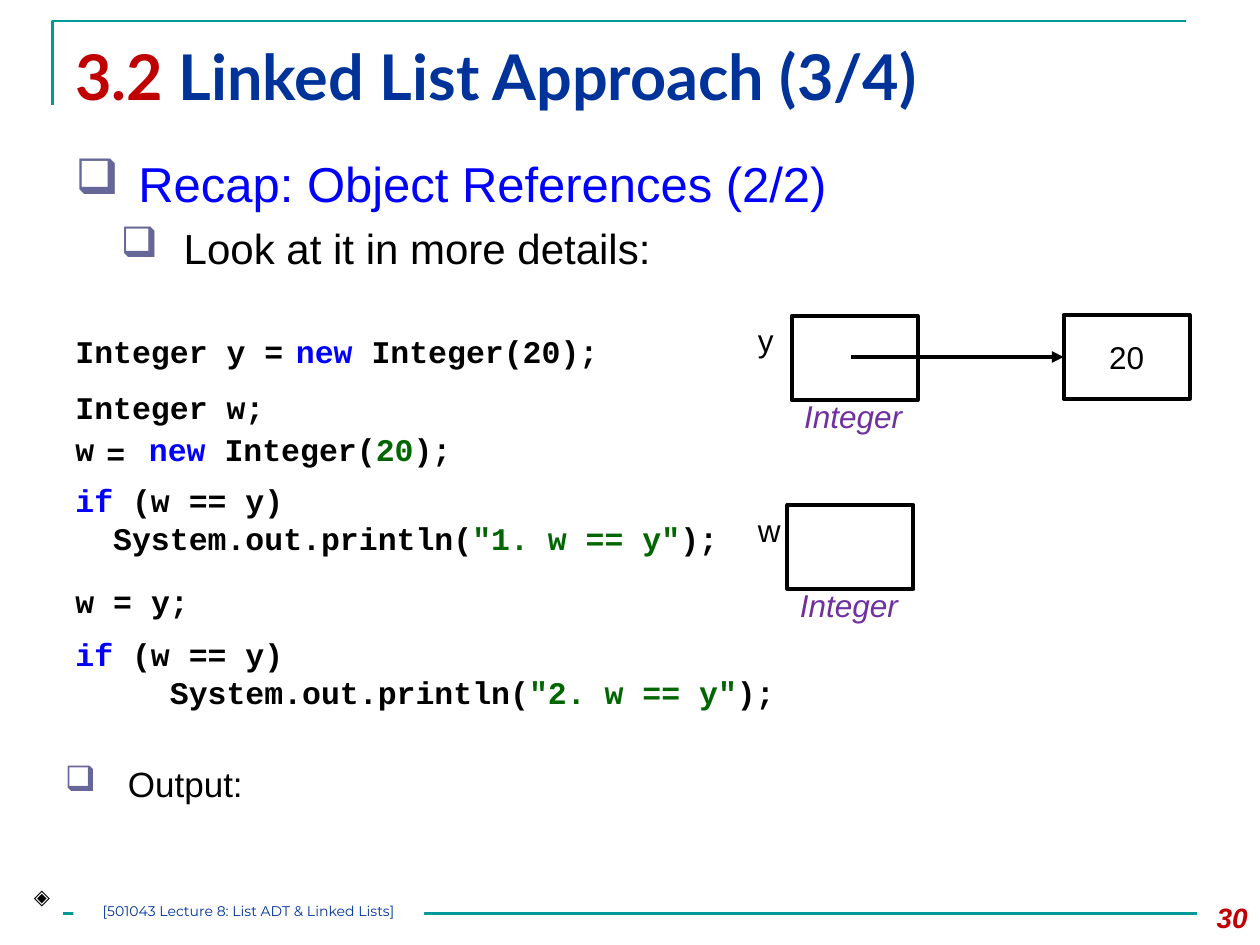
from dataclasses import dataclass

from lxml import etree
from pptx import Presentation, util as u
from pptx.dml.color import RGBColor
from pptx.enum import shapes as kinds, text as txt
from pptx.oxml.ns import qn

COLUMNS, ROWS = 120, 90
CELL = u.Inches(10) // COLUMNS
BLACK, WHITE, TEAL, NAVY = "000000", "FFFFFF", "009999", "003399"
RED, BLUE, GREEN, PURPLE, BULLET = "C00000", "0000FF", "006600", "7030A0", "666699"
CODE = dict(name="Courier New", size=u.Pt(18), bold=True)
LABEL = dict(name="Arial", size=u.Pt(18))


@dataclass
class Box:
    """A place on the slide, in grid columns and rows."""
    col: float
    row: float
    width: float
    height: float

    def emu(self) -> list[int]:
        return [round(n * CELL) for n in (self.col, self.row, self.width, self.height)]


@dataclass
class Code:
    """Code lines, each a list of (words, colour) pieces."""
    box: Box
    lines: list


@dataclass
class Variable:
    name: str
    col: float
    row: float
    label_row: float


@dataclass
class Item:
    words: str
    size: int
    color: str
    margin: float = 0.5
    before: int = 0


def rgb(color: str) -> RGBColor:
    return RGBColor.from_string(color)


def write(paragraph, words: str, color: str, style: dict) -> None:
    run = paragraph.add_run()
    run.text = words
    for key, value in style.items():
        setattr(run.font, key, value)
    run.font.color.rgb = rgb(color)


def add_text(slide, box: Box, lines: list, style: dict, align=txt.PP_ALIGN.LEFT, inset=None):
    frame = slide.shapes.add_textbox(*box.emu()).text_frame
    frame.word_wrap = inset is None and len(lines) > 1
    if inset is not None:
        frame.margin_left = frame.margin_right = frame.margin_top = frame.margin_bottom = inset
    for i, pieces in enumerate(lines):
        paragraph = frame.add_paragraph() if i else frame.paragraphs[0]
        paragraph.alignment = align
        for words, color in pieces:
            write(paragraph, words, color, style)


def add_bullets(slide, box: Box, items: list[Item]) -> None:
    frame = slide.shapes.add_textbox(*box.emu()).text_frame
    frame.word_wrap = True
    for i, item in enumerate(items):
        paragraph = frame.add_paragraph() if i else frame.paragraphs[0]
        paragraph.level = i
        if item.before:
            paragraph.space_before = u.Pt(item.before)
        props = paragraph._p.get_or_add_pPr()
        props.set("marL", str(u.Inches(item.margin)))
        props.set("indent", str(-u.Inches(0.5)))
        color = etree.SubElement(props, qn("a:buClr"))
        etree.SubElement(color, qn("a:srgbClr"), val=BULLET)
        etree.SubElement(props, qn("a:buChar"), char="❑")
        write(paragraph, item.words, item.color, dict(name="Arial", size=u.Pt(item.size)))


def add_cell(slide, box: Box, outlined: bool = True):
    cell = slide.shapes.add_shape(kinds.MSO_SHAPE.RECTANGLE, *box.emu())
    cell.shadow.inherit = False
    cell.fill.solid()
    cell.fill.fore_color.rgb = rgb(WHITE)
    if outlined:
        cell.line.color.rgb = rgb(BLACK)
        cell.line.width = u.Pt(2.25)
    else:
        cell.line.fill.background()
    return cell


def add_line(slide, start: tuple, end: tuple, color: str, width: float, arrow: bool = False):
    ends = [round(n * CELL) for n in (*start, *end)]
    line = slide.shapes.add_connector(kinds.MSO_CONNECTOR.STRAIGHT, *ends)
    line.line.color.rgb = rgb(color)
    line.line.width = u.Pt(width)
    if arrow:
        etree.SubElement(line.line._get_or_add_ln(), qn("a:tailEnd"), type="triangle")
    etree.SubElement(line._element.spPr, qn("a:effectLst"))


def add_frame(slide) -> None:
    """The title's corner rule and the line above the footer."""
    builder = slide.shapes.build_freeform(5, 10, scale=CELL)
    builder.add_line_segments([(5, 2), (113, 2)], close=False)
    corner = builder.convert_to_shape()
    corner.shadow.inherit = False
    corner.fill.background()
    corner.line.color.rgb = rgb(TEAL)
    corner.line.width = u.Pt(1.5)
    add_line(slide, (6, 87), (114, 87), TEAL, 1.5)


def add_variable(slide, variable: Variable) -> None:
    add_cell(slide, Box(variable.col, variable.row, 12, 8))
    add_text(slide, Box(71, variable.label_row, 4, 4.8), [[(variable.name, BLACK)]], LABEL)
    add_text(slide, Box(variable.col, variable.row + 7.1, 12.1, 4.8),
             [[("Integer", PURPLE)]], LABEL | dict(italic=True))


def comparison(row: float, width: float, indent: int, number: int) -> Code:
    """An if statement that prints its number."""
    return Code(Box(6, row, width, 8.5), [
        [("if", BLUE), (" (w == y)", BLACK)],
        [(" " * indent + "System.out.println(", BLACK), (f'"{number}. w == y"', GREEN), (");", BLACK)],
    ])


CODES = [
    Code(Box(6, 31, 18.7, 4.8), [[("Integer y", BLACK)]]),
    Code(Box(24, 31, 4.2, 4.8), [[("=", BLACK)]]),
    Code(Box(27, 31, 31.3, 4.8), [[("new", BLUE), (" Integer(20);", BLACK)]]),
    Code(Box(6, 36.4, 22.6, 4.8), [[("Integer w;", BLACK)]]),
    Code(Box(6, 40.4, 4.2, 4.8), [[("w", BLACK)]]),
    Code(Box(8.95, 40.7, 4.2, 4.8), [[("=", BLACK)]]),
    Code(Box(13, 40.4, 31.3, 4.8),
         [[("new", BLUE), (" Integer(", BLACK), ("20", GREEN), (");", BLACK)]]),
    comparison(45.2, 65.8, 2, 1),
    Code(Box(6, 54.8, 13.3, 4.8), [[("w = y;", BLACK)]]),
    comparison(59.9, 69.4, 5, 2),
]
VARIABLES = [Variable("y", 75.4, 30.1, 30), Variable("w", 75, 48.1, 48.1)]


def main() -> None:
    deck = Presentation()
    deck.slide_width, deck.slide_height = COLUMNS * CELL, ROWS * CELL
    slide = deck.slides.add_slide(deck.slide_layouts[6])

    add_frame(slide)
    add_text(slide, Box(6, 3, 108, 10.3), [[("3.2 ", RED), ("Linked List Approach (3/4)", NAVY)]],
             dict(name="Lato", size=u.Pt(36), bold=True))
    add_bullets(slide, Box(6, 14, 112, 19), [
        Item("Recap: Object References (2/2)", 28, BLUE),
        Item("Look at it in more details:", 24, BLACK, margin=0.86, before=6),
    ])
    add_bullets(slide, Box(5, 72, 112, 7), [Item("Output:", 20, BLACK)])

    for code in CODES:
        add_text(slide, code.box, code.lines, CODE)

    value = add_cell(slide, Box(101.3, 30, 12, 8)).text_frame
    value.vertical_anchor = txt.MSO_ANCHOR.MIDDLE
    value.paragraphs[0].alignment = txt.PP_ALIGN.CENTER
    write(value.paragraphs[0], "20", BLACK, LABEL)
    for variable in VARIABLES:
        add_variable(slide, variable)
    add_line(slide, (81, 34), (101.3, 34), BLACK, 2.25, arrow=True)

    add_text(slide, Box(2, 84, 4, 2.6), [[("◈", BLACK)]], dict(name="Arial", size=u.Pt(12)),
             txt.PP_ALIGN.CENTER, inset=u.Inches(0.01))
    add_cell(slide, Box(7, 86, 33.4, 2.4), outlined=False)
    add_text(slide, Box(7, 86, 33.4, 2.4), [[("[501043 Lecture 8: List ADT & Linked Lists]", NAVY)]],
             dict(name="Montserrat", size=u.Pt(8)), txt.PP_ALIGN.CENTER, inset=0)
    add_text(slide, Box(112, 85.2, 8, 4.8), [[("30", RED)]],
             dict(name="Arial", size=u.Pt(16), bold=True, italic=True), txt.PP_ALIGN.RIGHT)
    deck.save("out.pptx")


if __name__ == "__main__":
    main()
